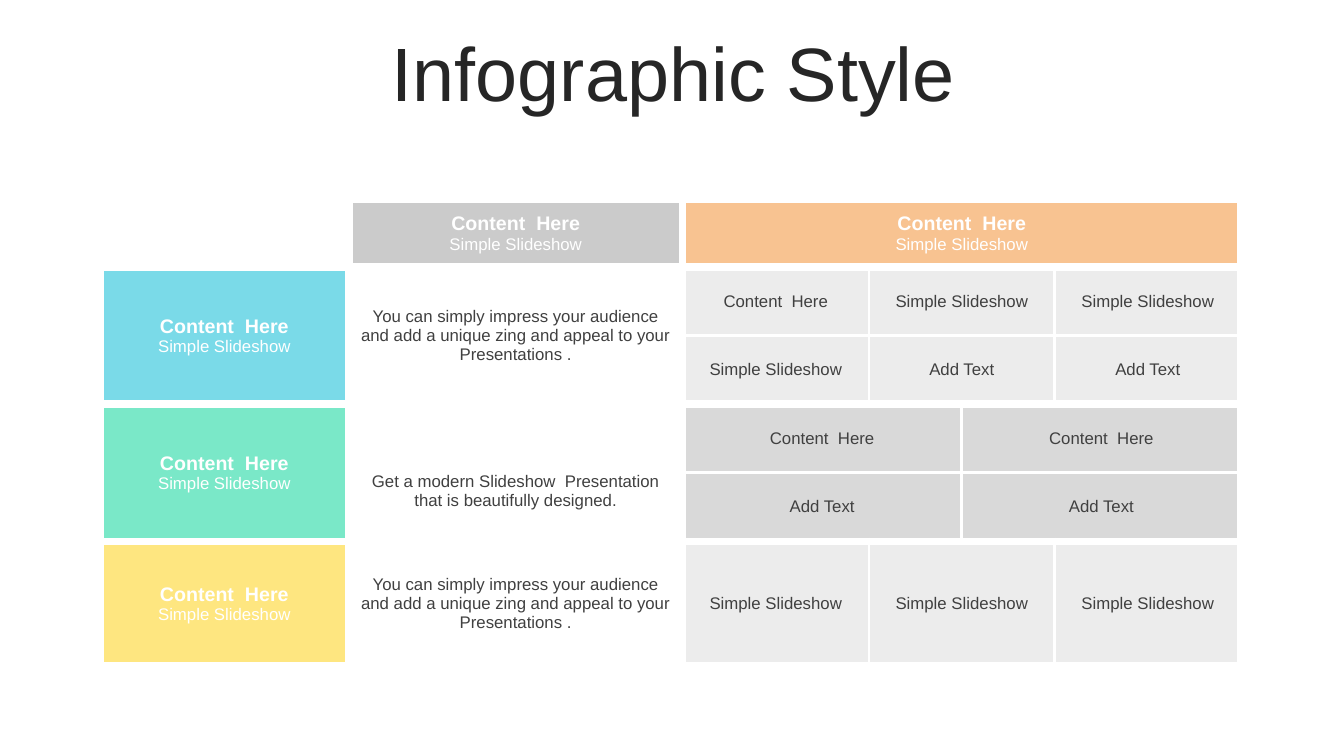
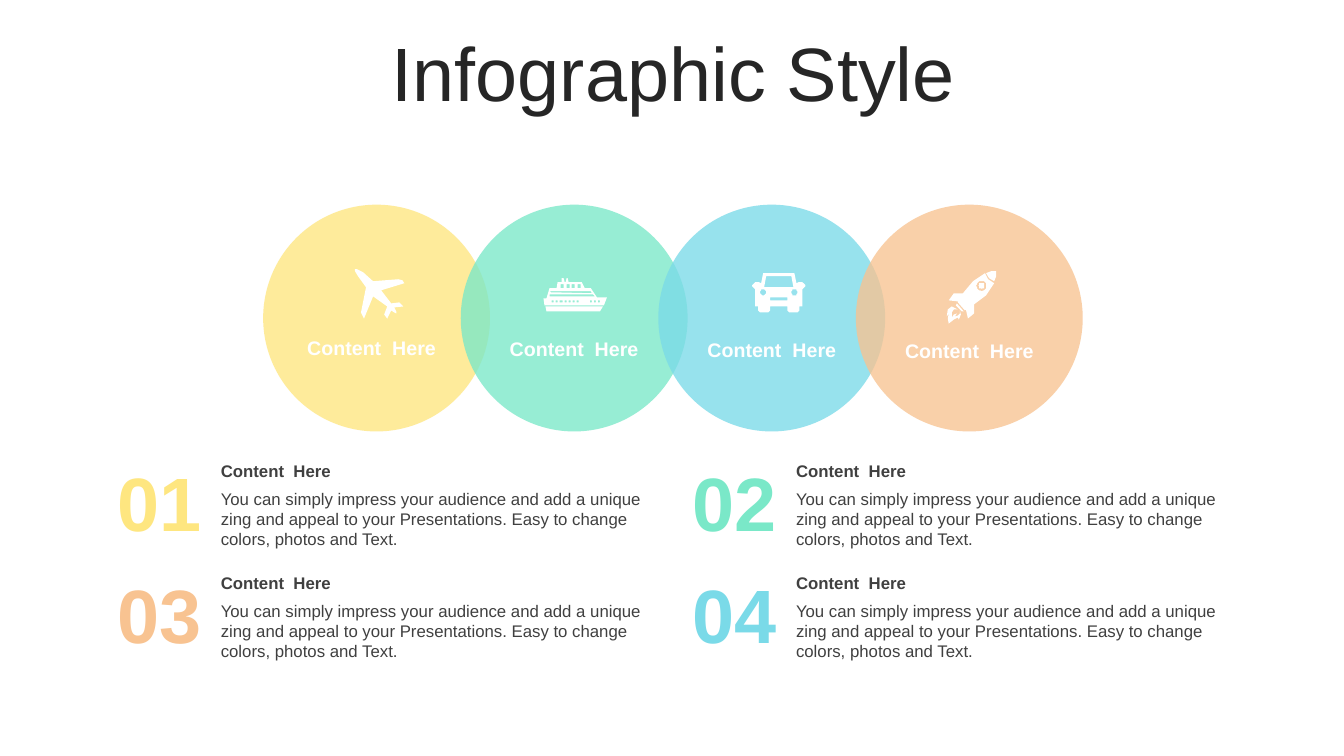
"""Build two infographic slides: a merged-cell table and overlapping transport circles."""
from dataclasses import dataclass
from itertools import product
from math import cos, pi, sin

from lxml.etree import SubElement
from pptx import Presentation
from pptx.dml.color import RGBColor as RGB
from pptx.enum.shapes import MSO_SHAPE as SHAPE
from pptx.enum.text import MSO_ANCHOR as ANCHOR, PP_ALIGN as ALIGN
from pptx.oxml.ns import qn
from pptx.util import Inches, Pt

W, H = Inches(13.33), Inches(7.5)
Points = list[tuple[float, float]]


@dataclass(frozen=True)
class Theme:
    font: str = "Arial"
    white: str = "FFFFFF"
    title: str = "262626"
    text: str = "404040"
    yellow: str = "FEE680"
    green: str = "7AE8C8"
    cyan: str = "7ADAE8"
    orange: str = "F8C391"
    silver: str = "CBCBCB"
    pale: str = "ECECEC"
    grey: str = "D9D9D9"
    big: int = 54
    head: int = 14
    body: int = 12
    thick: float = 6
    thin: float = 2.25


T = Theme()


@dataclass(frozen=True)
class Box:
    """A place in percent of the slide's width and height."""
    left: float
    top: float
    width: float = 0
    height: float = 0

    def emu(self) -> tuple[int, int, int, int]:
        return (round(self.left * W / 100), round(self.top * H / 100),
                round(self.width * W / 100), round(self.height * H / 100))


@dataclass(frozen=True)
class Block:
    """A merged area of the table."""
    row: int
    col: int
    rows: int
    cols: int
    text: str
    fill: str | None = None
    subtitle: str = ""
    inset_top: float = 0.05


@dataclass(frozen=True)
class Circle:
    color: str
    label_left: float
    icon_at: Box
    icon: list[Points]


@dataclass(frozen=True)
class Card:
    number: str
    color: str
    col: int
    row: int


def rect(x: float, y: float, w: float, h: float) -> Points:
    return [(x, y), (x + w, y), (x + w, y + h), (x, y + h)]


def disc(x: float, y: float, radius: float, steps: int = 24) -> Points:
    angles = [2 * pi * i / steps for i in range(steps)]
    return [(x + radius * cos(a), y + radius * sin(a)) for a in angles]


PLANE = [[
    (48, 37), (39, 38), (41, 42), (41, 44), (39, 43), (36, 41), (32, 49), (29, 45),
    (32, 37), (18, 27), (9, 49), (6, 43), (11, 18), (3, 7), (0, 2), (0, 0), (2, 0),
    (8, 3), (18, 12), (43, 10), (47, 11), (49, 14), (26, 21), (36, 34), (44, 33),
]]
SHIP = [
    [(23, 0), (24, 0), (25, 4), (38, 4), (41, 10), (47, 10), (53, 19), (63, 19),
     (60, 27), (1, 27), (0, 20), (3, 20), (6, 10), (13, 10), (14, 4), (18, 4),
     (18, 0), (20, 0), (21, 4), (22, 4)],
    [(2, 28), (59, 28), (56, 33), (3, 33)],
    [(6, 16), (6, 18), (51, 18), (49, 16)],
    [(7, 13), (7, 14), (48, 15), (47, 13)],
    *[rect(8 + 4.2 * i, 22, 2.2, 2.2) for i in (*range(7), *range(9, 12))],
    *[rect(17 + 5.67 * i, 6, 3, 4) for i in range(4)],
]
CAR = [
    [(11, 0), (42, 0), (44, 10), (46, 9), (50, 9), (53, 12), (53, 13), (50, 16),
     (50, 33), (47, 33), (47, 37), (45, 39), (37, 39), (35, 37), (35, 33), (18, 33),
     (18, 37), (16, 39), (8, 39), (6, 37), (6, 33), (3, 33), (3, 16), (0, 13),
     (0, 12), (3, 9), (7, 9), (9, 10)],
    [(14, 3), (12, 14), (41, 14), (39, 3)],
    rect(18, 24, 17, 3), disc(11, 19, 3), disc(42, 19, 3),
]
ROCKET = [
    [(39, 2), (42, 8), (48, 12), (40, 24), (28, 33), (28, 42), (22, 47), (20, 38),
     (19, 39), (12, 31), (12, 30), (3, 29), (8, 22), (17, 22), (27, 10)],
    [(50, 0), (50, 5), (48, 10), (43, 7), (40, 2), (45, 0)],
    [(11, 32), (18, 40), (16, 40), (10, 34)],
    [(12, 38), (8, 38), (6, 41), (6, 46), (8, 43), (11, 42), (9, 45), (12, 44),
     (14, 42), (14, 39), (15, 43), (13, 48), (12, 46), (8, 48), (3, 52), (2, 47),
     (3, 42), (1, 45), (2, 38), (6, 35)],
    disc(35.5, 14.5, 5), disc(35.5, 14.5, 3),
]

HERE, SIMPLE, ADD = "Content  Here", "Simple Slideshow", "Add Text"
IMPRESS = ("You can simply impress your audience and add a unique zing "
           "and appeal to your Presentations")
MODERN = "Get a modern Slideshow  Presentation that is beautifully designed."

TABLE_AT = Box(7.43, 26.4, 84.99, 61.73)
COLUMNS = (18.53, 24.83, 13.88, 6.9, 6.9, 13.88)
ROWS = (8.93, 9.07, 9.07, 9.07, 9.07, 16.53)
DETAIL_COL = 2
THIRDS = ((2, 1), (3, 2), (5, 1))
HALVES = ((2, 2), (4, 2))
DETAILS = (
    (1, THIRDS, T.pale, (HERE, SIMPLE, SIMPLE)),
    (2, THIRDS, T.pale, (SIMPLE, ADD, ADD)),
    (3, HALVES, T.grey, (HERE, HERE)),
    (4, HALVES, T.grey, (ADD, ADD)),
    (5, THIRDS, T.pale, (SIMPLE,) * 3),
)
BLOCKS = (
    Block(0, 0, 1, 1, ""),
    Block(0, 1, 1, 1, HERE, T.silver, SIMPLE),
    Block(0, 2, 1, 4, HERE, T.orange, SIMPLE),
    Block(1, 0, 2, 1, HERE, T.cyan, SIMPLE),
    Block(3, 0, 2, 1, HERE, T.green, SIMPLE),
    Block(5, 0, 1, 1, HERE, T.yellow, SIMPLE),
    Block(1, 1, 2, 1, IMPRESS + " ."),
    Block(3, 1, 2, 1, MODERN, inset_top=0.41),
    Block(5, 1, 1, 1, IMPRESS + " ."),
    *[Block(row, col, 1, span, text, fill)
      for row, spans, fill, texts in DETAILS
      for (col, span), text in zip(spans, texts)],
)
CIRCLES = (
    Circle(T.yellow, 21.16, Box(26.41, 35.6), PLANE),
    Circle(T.green, 36.23, Box(40.44, 36.8), SHIP),
    Circle(T.cyan, 50.94, Box(55.96, 36.13), CAR),
    Circle(T.orange, 65.64, Box(70.37, 35.87), ROCKET),
)
CARDS = (
    Card("01", T.yellow, 0, 0), Card("02", T.green, 1, 0),
    Card("03", T.orange, 0, 1), Card("04", T.cyan, 1, 1),
)


def write(tf, text: str, *, size: float = T.body, color: str = T.text,
          bold: bool = False, align=ALIGN.CENTER, spacing: float = 1) -> None:
    """Put text in the frame's empty first paragraph, or in a new one."""
    p = tf.paragraphs[0] if not tf.text else tf.add_paragraph()
    p.alignment, p.line_spacing = align, spacing
    r = p.add_run()
    r.text = text
    r.font.name, r.font.size, r.font.bold = T.font, Pt(size), bold
    r.font.color.rgb = RGB.from_string(color)


def add_text(slide, box: Box, text: str, *, anchor=ANCHOR.MIDDLE,
             insets: tuple[float, ...] = (0.1, 0.05, 0.1, 0.05), **style) -> None:
    tf = slide.shapes.add_textbox(*box.emu()).text_frame
    tf.word_wrap, tf.vertical_anchor = True, anchor
    tf.margin_left, tf.margin_top, tf.margin_right, tf.margin_bottom = map(Inches, insets)
    write(tf, text, **style)


def paint(sp, color: str, opacity: int = 100) -> None:
    sp.shadow.inherit = False
    sp.line.fill.background()
    sp.fill.solid()
    sp.fill.fore_color.rgb = RGB.from_string(color)
    if opacity < 100:
        clr = sp._element.spPr.find(f"{qn('a:solidFill')}/{qn('a:srgbClr')}")
        SubElement(clr, qn("a:alpha"), val=str(opacity * 1000))


def set_borders(cell, widths: dict[str, float]) -> None:
    tc_pr = cell._tc.get_or_add_tcPr()
    for i, (side, width) in enumerate(widths.items()):
        ln = SubElement(tc_pr, qn(f"a:ln{side}"), w=str(Pt(width)))
        SubElement(SubElement(ln, qn("a:solidFill")), qn("a:srgbClr"), val=T.white)
        tc_pr.insert(i, ln)


def border_widths(b: Block) -> dict[str, float]:
    """Thin lines part the detail cells of one band; all others are thick."""
    detail = b.col >= DETAIL_COL and b.row > 0
    thin = {
        "L": b.col > DETAIL_COL,
        "R": b.col + b.cols < len(COLUMNS),
        "T": b.row in (2, 4),
        "B": b.row in (1, 3),
    }
    return {side: T.thin if detail and on else T.thick for side, on in thin.items()}


def add_block(table, b: Block) -> None:
    for row, col in product(range(b.row, b.row + b.rows), range(b.col, b.col + b.cols)):
        part = table.cell(row, col)
        if b.fill:
            part.fill.solid()
            part.fill.fore_color.rgb = RGB.from_string(b.fill)
        else:
            part.fill.background()
        set_borders(part, border_widths(b))
    cell = table.cell(b.row, b.col)
    if b.rows * b.cols > 1:
        cell.merge(table.cell(b.row + b.rows - 1, b.col + b.cols - 1))
    cell.vertical_anchor, cell.margin_top = ANCHOR.MIDDLE, Inches(b.inset_top)
    if b.subtitle:
        write(cell.text_frame, b.text, size=T.head, color=T.white, bold=True)
        write(cell.text_frame, b.subtitle, color=T.white)
    elif b.text:
        write(cell.text_frame, b.text)


def add_icon(slide, at: Box, contours: list[Points]) -> None:
    first, *others = contours
    builder = slide.shapes.build_freeform(*first[0], scale=W / 1333)
    builder.add_line_segments(first[1:], close=True)
    for points in others:
        builder.move_to(*points[0])
        builder.add_line_segments(points[1:], close=True)
    paint(builder.convert_to_shape(*at.emu()[:2]), T.white)


def add_card(slide, card: Card) -> None:
    left, top = 7.95 + 42.8 * card.col, 60.27 + 14.8 * card.row
    style = dict(align=ALIGN.LEFT, insets=(0, 0.05, 0.1, 0.05))
    add_text(slide, Box(left, top, 7.05, 12.13), card.number, size=T.big,
             color=card.color, bold=True, align=ALIGN.RIGHT, insets=(0, 0, 0, 0))
    add_text(slide, Box(left + 8.48, top, 33.38, 4), HERE, bold=True, **style)
    add_text(slide, Box(left + 8.48, top + 3.73, 33.38, 9.47),
             IMPRESS + ". Easy to change colors, photos and Text.",
             anchor=ANCHOR.TOP, **style)


def new_slide(prs):
    slide = prs.slides.add_slide(prs.slide_layouts[6])
    add_text(slide, Box(2.63, 4.93, 94.97, 10.53), "Infographic Style",
             size=T.big, color=T.title, spacing=0.9)
    return slide


def table_slide(prs) -> None:
    shapes = new_slide(prs).shapes
    table = shapes.add_table(len(ROWS), len(COLUMNS), *TABLE_AT.emu()).table
    table.first_row = table.horz_banding = False
    for column, share in zip(table.columns, COLUMNS):
        column.width = round(share * W / 100)
    for row, share in zip(table.rows, ROWS):
        row.height = round(share * H / 100)
    for block in BLOCKS:
        add_block(table, block)


def circles_slide(prs) -> None:
    slide = new_slide(prs)
    for i, circle in enumerate(CIRCLES):
        place = Box(19.58 + 14.7 * i, 27.07, 16.88, 30)
        paint(slide.shapes.add_shape(SHAPE.OVAL, *place.emu()), circle.color, 78)
    for card in CARDS:
        add_card(slide, card)
    for i, circle in enumerate(CIRCLES):
        add_text(slide, Box(circle.label_left, 43.73 + 0.13 * i, 12.98, 4.53), HERE,
                 size=T.head, color=T.white, bold=True)
        add_icon(slide, circle.icon_at, circle.icon)


def main() -> None:
    prs = Presentation()
    prs.slide_width, prs.slide_height = W, H
    table_slide(prs)
    circles_slide(prs)
    prs.save("out.pptx")


if __name__ == "__main__":
    main()
